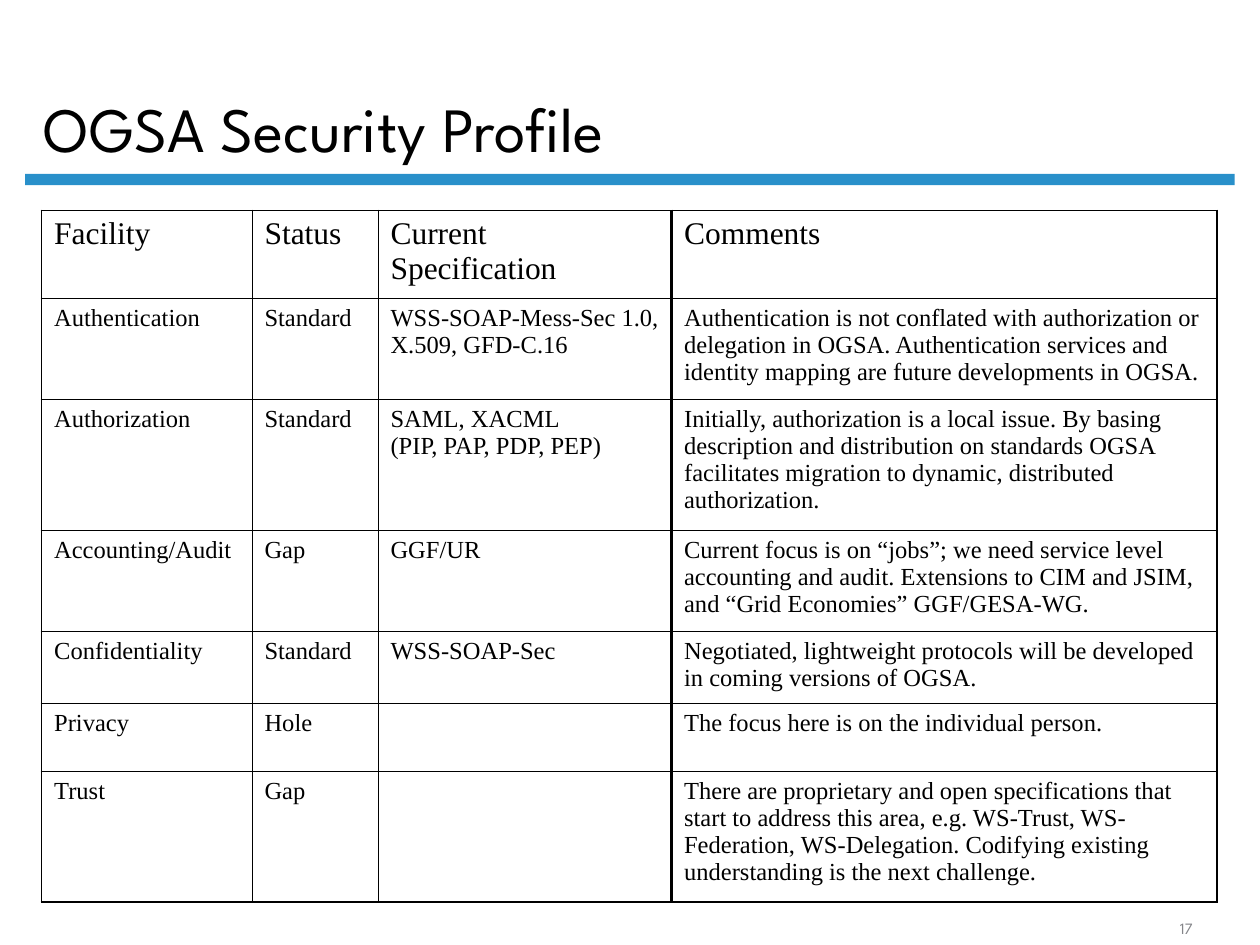
from lxml import etree
from pptx import Presentation
from pptx.dml.color import RGBColor
from pptx.enum.shapes import MSO_SHAPE
from pptx.enum.text import MSO_ANCHOR, PP_ALIGN
from pptx.oxml.ns import qn
from pptx.util import Inches, Pt

RECTANGLE = MSO_SHAPE.RECTANGLE
BOTTOM = MSO_ANCHOR.BOTTOM
LEFT, CENTER = PP_ALIGN.LEFT, PP_ALIGN.CENTER

BLACK, BLUE, GRAY = "000000", "2990CA", "848589"
HEADING_FONT, TABLE_FONT = "League Spartan", "Times New Roman"
THIN, OUTER, COMMENTS_RULE = 0.45, 1.08, 1.47

COLUMN_WIDTHS = [1.67, 1, 2.33, 4.33]
ROW_HEIGHTS = [0.7, 0.8, 1.04, 0.8, 0.57, 0.54, 1.04]
COLUMN_RULES = [OUTER, THIN, THIN, COMMENTS_RULE, OUTER]
ROW_RULES = [OUTER] + [THIN] * (len(ROW_HEIGHTS) - 1) + [OUTER]

FACILITIES = [
    ("Facility", "Status", "Current Specification", "Comments"),
    ("Authentication", "Standard", "WSS-SOAP-Mess-Sec 1.0,\nX.509, GFD-C.16",
     "Authentication is not conflated with authorization or delegation in OGSA. "
     "Authentication services and identity mapping are future developments in OGSA."),
    ("Authorization", "Standard", "SAML, XACML\n(PIP, PAP, PDP, PEP)",
     "Initially, authorization is a local issue. By basing description and distribution "
     "on standards OGSA facilitates migration to dynamic, distributed authorization."),
    ("Accounting/Audit", "Gap", "GGF/UR",
     "Current focus is on “jobs”; we need service level accounting and audit. "
     "Extensions to CIM and JSIM, and “Grid Economies” GGF/GESA-WG."),
    ("Confidentiality", "Standard", "WSS-SOAP-Sec",
     "Negotiated, lightweight protocols will be developed in coming versions of OGSA."),
    ("Privacy", "Hole", "", "The focus here is on the individual person."),
    ("Trust", "Gap", "",
     "There are proprietary and open specifications that start to address this area, "
     "e.g. WS-Trust, WS-Federation, WS-Delegation. Codifying existing understanding "
     "is the next challenge."),
]


def rgb(color):
    """Turn a hex string into a colour."""
    return RGBColor.from_string(color)


def write(frame, text, font, size, color=BLACK, **paragraph_format):
    """Fill a text frame, one paragraph for each line of text."""
    frame.word_wrap = True
    frame.text = text
    for paragraph in frame.paragraphs:
        for name, value in paragraph_format.items():
            setattr(paragraph, name, value)
        for run in paragraph.runs:
            for name, value in {"name": font, "size": Pt(size)}.items():
                setattr(run.font, name, value)
            run.font.color.rgb = rgb(color)


def add_rule(slide, box):
    """Draw the blue bar under the title."""
    rule = slide.shapes.add_shape(RECTANGLE, *map(Inches, box))
    rule.shadow.inherit = False
    rule.fill.solid()
    rule.fill.fore_color.rgb = rgb(BLUE)
    rule.line.fill.background()


def add_label(slide, box, text, size, color, **paragraph_format):
    """Place a bottom-anchored line in the heading font."""
    frame = slide.shapes.add_textbox(*map(Inches, box)).text_frame
    frame.vertical_anchor = BOTTOM
    write(frame, text, HEADING_FONT, size, color, **paragraph_format)


def set_borders(cell, widths):
    """Give a cell black borders from a dict of side to width in points."""
    properties = cell._tc.get_or_add_tcPr()
    for index, (side, width) in enumerate(widths.items()):
        border = etree.Element(qn(f"a:ln{side}"), w=str(Pt(width)))
        fill = etree.SubElement(border, qn("a:solidFill"))
        etree.SubElement(fill, qn("a:srgbClr"), val=BLACK)
        properties.insert(index, border)


def add_facilities(slide, box):
    """Build the ruled table of security facilities."""
    table = slide.shapes.add_table(
        len(ROW_HEIGHTS), len(COLUMN_WIDTHS), *map(Inches, box)).table
    for name in ("first_row", "horz_banding"):
        setattr(table, name, False)
    for column, width in zip(table.columns, COLUMN_WIDTHS):
        column.width = Inches(width)
    for row, height in zip(table.rows, ROW_HEIGHTS):
        row.height = Inches(height)
    for r, facility in enumerate(FACILITIES):
        for c, text in enumerate(facility):
            cell = table.cell(r, c)
            cell.fill.background()
            write(cell.text_frame, text, TABLE_FONT, 14 if r else 18)
            set_borders(cell, {"L": COLUMN_RULES[c], "R": COLUMN_RULES[c + 1],
                               "T": ROW_RULES[r], "B": ROW_RULES[r + 1]})


def main():
    """Build and save the slide."""
    deck = Presentation()
    deck.slide_width, deck.slide_height = Inches(10), Inches(7.5)
    slide = deck.slides.add_slide(deck.slide_layouts[6])
    add_rule(slide, (0.2, 1.38, 9.6, 0.09))
    add_label(slide, (0.25, 0.12, 8.56, 1.25), "OGSA Security Profile", 36, BLACK,
              alignment=LEFT, line_spacing=0.9)
    add_facilities(slide, (0.33, 1.67, sum(COLUMN_WIDTHS), sum(ROW_HEIGHTS)))
    add_label(slide, (9, 7.25, 0.83, 0.24), "17", 9, GRAY, alignment=CENTER)
    deck.save("out.pptx")


if __name__ == "__main__":
    main()
